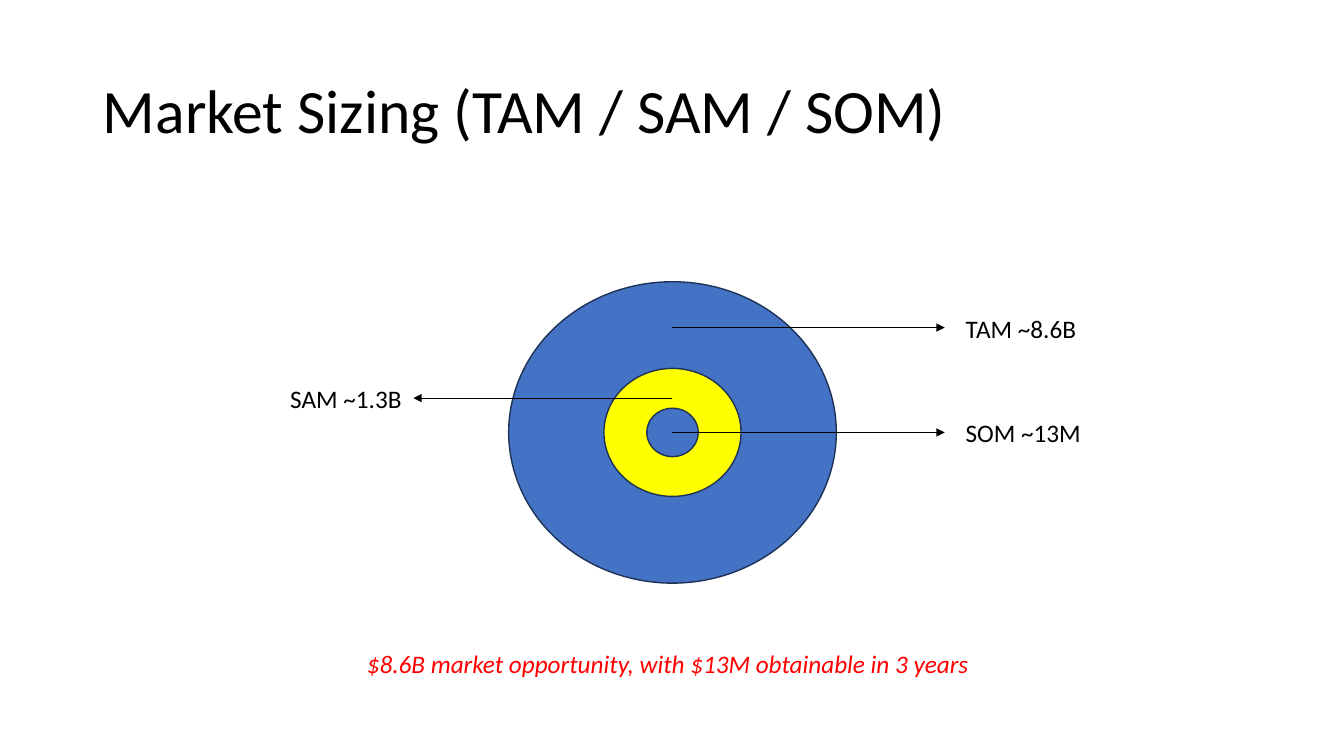
from lxml import etree
from pptx import Presentation
from pptx.dml.color import RGBColor
from pptx.enum.shapes import MSO_CONNECTOR, MSO_SHAPE
from pptx.enum.text import MSO_ANCHOR, MSO_AUTO_SIZE, PP_ALIGN
from pptx.oxml.ns import qn
from pptx.util import Inches, Pt

OVAL = MSO_SHAPE.OVAL
STRAIGHT = MSO_CONNECTOR.STRAIGHT
MIDDLE = MSO_ANCHOR.MIDDLE
LEFT = PP_ALIGN.LEFT
GROW = MSO_AUTO_SIZE.SHAPE_TO_FIT_TEXT
NO_FIT = MSO_AUTO_SIZE.NONE

BLACK = RGBColor(0x00, 0x00, 0x00)
BLUE = RGBColor(0x44, 0x72, 0xC4)
NAVY = RGBColor(0x1E, 0x32, 0x56)
YELLOW = RGBColor(0xFF, 0xFF, 0x00)
RED = RGBColor(0xFF, 0x00, 0x00)
FONT = "Calibri"
MID_X, MID_Y = 6.67, 4.29

RINGS = [(3.25, 2.99, BLUE), (1.36, 1.27, YELLOW), (0.51, 0.48, BLUE)]
# text, label left, top and width, arrow end and height
LABELS = [
    ("SOM ~13M", 9.48, 4.09, 1.36, 9.37, MID_Y),
    ("SAM ~1.3B", 2.78, 3.75, 1.32, 4.1, 3.95),
    ("TAM ~8.6B", 9.48, 3.06, 1.31, 9.37, 3.25),
]


def style(par, size, color, italic=None):
    font = par.runs[0].font
    font.name = FONT
    font.size = Pt(size)
    font.color.rgb = color
    font.italic = italic


def add_title(slide, text):
    title = slide.shapes.title
    title.left, title.top = Inches(0.92), Inches(0.4)
    title.width, title.height = Inches(11.5), Inches(1.45)
    frame = title.text_frame
    frame.text = text
    frame.auto_size = NO_FIT
    frame.vertical_anchor = MIDDLE
    par = frame.paragraphs[0]
    par.alignment = LEFT
    par.line_spacing = 0.9
    style(par, 44, BLACK)


def add_ring(slide, width, height, color):
    """Add an ellipse around the shared centre."""
    ring = slide.shapes.add_shape(
        OVAL, Inches(MID_X - width / 2), Inches(MID_Y - height / 2),
        Inches(width), Inches(height))
    ring.shadow.inherit = False
    ring.fill.solid()
    ring.fill.fore_color.rgb = color
    ring.line.color.rgb = NAVY
    ring.line.width = Pt(1)


def add_label(slide, text, left, top, width, color=BLACK, italic=None):
    box = slide.shapes.add_textbox(
        Inches(left), Inches(top), Inches(width), Inches(0.4))
    frame = box.text_frame
    frame.text = text
    frame.word_wrap = False
    frame.auto_size = GROW
    style(frame.paragraphs[0], 18, color, italic)


def add_arrow(slide, end, y):
    """Add a level arrow from the centre line to end."""
    arrow = slide.shapes.add_connector(
        STRAIGHT, Inches(MID_X), Inches(y), Inches(end), Inches(y))
    arrow.line.color.rgb = BLACK
    arrow.line.width = Pt(0.5)
    etree.SubElement(arrow.line._get_or_add_ln(), qn("a:tailEnd"),
                     type="triangle")
    etree.SubElement(arrow._element.spPr, qn("a:effectLst"))


def main():
    deck = Presentation()
    deck.slide_width, deck.slide_height = Inches(13.33), Inches(7.5)
    slide = deck.slides.add_slide(deck.slide_layouts[5])
    add_title(slide, "Market Sizing (TAM / SAM / SOM)")
    for width, height, color in RINGS:
        add_ring(slide, width, height, color)
    for text, left, top, width, end, y in LABELS:
        add_label(slide, text, left, top, width)
        add_arrow(slide, end, y)
    add_label(slide, "$8.6B market opportunity, with $13M obtainable in 3 years",
              3.54, 6.38, 6.26, RED, True)
    deck.save("out.pptx")


if __name__ == "__main__":
    main()
